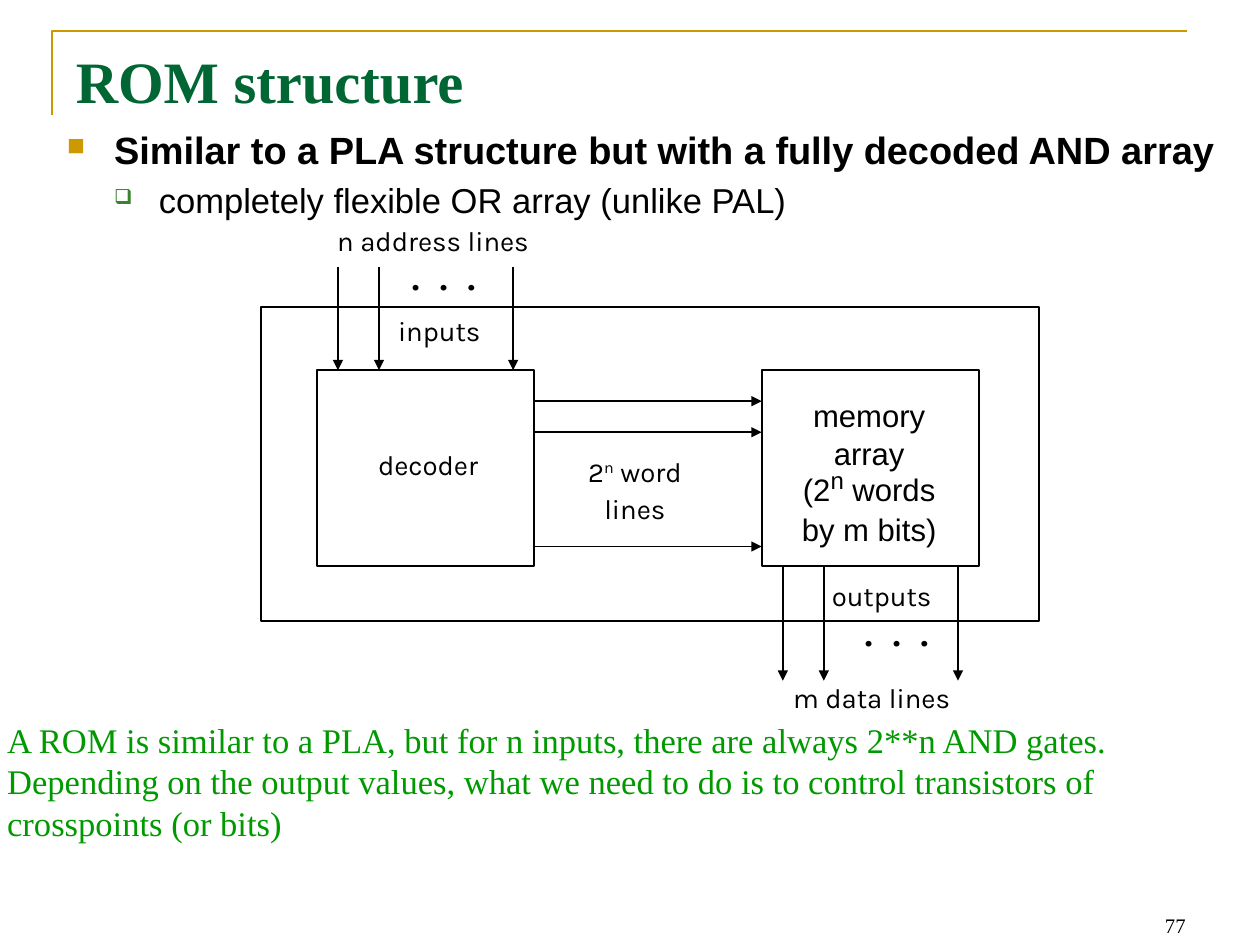
import dataclasses

import pptx
import pptx.dml.color
import pptx.enum.shapes
import pptx.enum.text
import pptx.oxml
import pptx.oxml.ns
import pptx.util
from pptx.util import Inches

ALIGN = pptx.enum.text.PP_ALIGN
ANCHOR = pptx.enum.text.MSO_ANCHOR


@dataclasses.dataclass(frozen=True)
class Theme:
    serif: str = "Times New Roman"
    sans: str = "Arial"
    label: str = "Karla"
    black: str = "000000"
    gold: str = "CC9900"
    title_green: str = "006633"
    bullet_green: str = "3B812F"
    note_green: str = "009900"
    title_size: int = 34
    point_size: int = 22
    body_size: int = 20
    superscript_size: int = 24
    memory_size: int = 18
    label_size: int = 16
    number_size: int = 12
    frame_width: float = 1.5
    line_width: float = 1


THEME = Theme()
BLOCK_TOP, BLOCK_WIDTH, BLOCK_HEIGHT = 2.98, 1.75, 1.58
BLOCK_BOTTOM = BLOCK_TOP + BLOCK_HEIGHT
DECODER_LEFT, MEMORY_LEFT = 2.55, 6.13
PORT_OFFSETS = (0.17, 0.5, 1.58)
WORD_LINES = (3.23, 3.48, 4.4)


def colour(value):
    return pptx.dml.color.RGBColor.from_string(value)


def xml_child(parent, tag, **attributes):
    child = pptx.oxml.parse_xml(f"<a:{tag} {pptx.oxml.ns.nsdecls('a')}/>")
    for name, value in attributes.items():
        child.set(name, str(value))
    parent.append(child)
    return child


def add_span(para, text, font, size, ink=THEME.black, bold=False):
    for index, piece in enumerate(text.split("\n")):
        if index:
            para.add_line_break()
        span = para.add_run()
        span.text = piece
        span.font.name = font
        span.font.size = pptx.util.Pt(size)
        span.font.bold = bold
        span.font.color.rgb = colour(ink)
    return span


def add_box(page, left, top, width, height, wrap=True, anchor=ANCHOR.TOP):
    box = page.shapes.add_textbox(*map(Inches, (left, top, width, height)))
    box.text_frame.word_wrap = wrap
    box.text_frame.vertical_anchor = anchor
    return box


def add_label_para(page, left, top, width, height, spacing=22):
    frame = add_box(page, left, top, width, height, wrap=False).text_frame
    frame.margin_left = frame.margin_right = Inches(0.02)
    frame.margin_top = frame.margin_bottom = Inches(0.03)
    para = frame.paragraphs[0]
    para.alignment = ALIGN.CENTER
    para.line_spacing = pptx.util.Pt(spacing)
    return para


def add_label(page, text, left, top, width, height):
    para = add_label_para(page, left, top, width, height)
    add_span(para, text, THEME.label, THEME.label_size)


def add_power_label(page, before, after, font, size, power_size, *place):
    para = add_label_para(page, *place)
    add_span(para, before, font, size)
    power = add_span(para, "n", font, power_size)
    power.font._element.set("baseline", "30000")
    add_span(para, after, font, size)


def add_dots(page, left, top, width, height):
    para = add_label_para(page, left, top, width, height, spacing=21)
    for text in "• • •":
        span = add_span(para, text, THEME.label, THEME.label_size)
        if text == " ":
            span.font._element.set("spc", "800")


def add_block(page, left, top, width, height):
    block = page.shapes.add_shape(
        pptx.enum.shapes.MSO_SHAPE.RECTANGLE, *map(Inches, (left, top, width, height)))
    block.shadow.inherit = False
    block.fill.background()
    block.line.color.rgb = colour(THEME.black)
    block.line.width = pptx.util.Pt(THEME.line_width)


def add_arrow(page, start_x, start_y, end_x, end_y):
    arrow = page.shapes.add_connector(
        pptx.enum.shapes.MSO_CONNECTOR.STRAIGHT,
        *map(Inches, (start_x, start_y, end_x, end_y)))
    arrow.line.color.rgb = colour(THEME.black)
    arrow.line.width = pptx.util.Pt(THEME.line_width)
    xml_child(arrow.line._get_or_add_ln(), "tailEnd", type="triangle")
    xml_child(arrow._element.spPr, "effectLst")


def add_corner_frame(page):
    builder = page.shapes.build_freeform(Inches(0.42), Inches(0.93))
    builder.add_line_segments(
        [(Inches(0.42), Inches(0.25)), (Inches(9.55), Inches(0.25))], close=False)
    corner = builder.convert_to_shape()
    corner.shadow.inherit = False
    corner.fill.background()
    corner.line.color.rgb = colour(THEME.gold)
    corner.line.width = pptx.util.Pt(THEME.frame_width)


def set_title(page, text):
    title = page.shapes.title
    title.left, title.top = Inches(0.51), Inches(0.31)
    title.width, title.height = Inches(9.12), Inches(1.26)
    frame = title.text_frame
    frame.auto_size = pptx.enum.text.MSO_AUTO_SIZE.NONE
    frame.vertical_anchor = ANCHOR.TOP
    para = frame.paragraphs[0]
    para.alignment = ALIGN.LEFT
    add_span(para, text, THEME.serif, THEME.title_size, THEME.title_green, True)


def set_bullet(para, mark, ink, percent, indent, hanging):
    properties = para._p.get_or_add_pPr()
    properties.set("marL", str(Inches(indent)))
    properties.set("indent", str(-Inches(hanging)))
    xml_child(xml_child(properties, "buClr"), "srgbClr", val=ink)
    xml_child(properties, "buSzPct", val=percent * 1000)
    xml_child(properties, "buChar", char=mark)


def add_points(page):
    frame = add_box(page, 0.44, 0.97, 9.6, 1).text_frame
    point = frame.paragraphs[0]
    set_bullet(point, "■", THEME.gold, 65, 0.38, 0.38)
    add_span(point, "Similar to a PLA structure but with a fully decoded AND array",
             THEME.sans, THEME.point_size, bold=True)
    detail = frame.add_paragraph()
    detail.level = 1
    detail.space_before = pptx.util.Pt(4)
    set_bullet(detail, "❑", THEME.bullet_green, 60, 0.74, 0.36)
    add_span(detail, "completely flexible OR array (unlike PAL)", THEME.sans, THEME.body_size)


def add_diagram(page):
    add_block(page, 2.1, 2.47, 6.26, 2.53)
    for left in (DECODER_LEFT, MEMORY_LEFT):
        add_block(page, left, BLOCK_TOP, BLOCK_WIDTH, BLOCK_HEIGHT)
    for offset in PORT_OFFSETS:
        address, data = DECODER_LEFT + offset, MEMORY_LEFT + offset
        add_arrow(page, address, 2.15, address, BLOCK_TOP)
        add_arrow(page, data, BLOCK_BOTTOM, data, 5.48)
    for height in WORD_LINES:
        add_arrow(page, DECODER_LEFT + BLOCK_WIDTH, height, MEMORY_LEFT, height)
    add_label(page, "n address lines", 2.38, 1.73, 2.21, 0.72)
    add_label(page, "inputs", 3.03, 2.46, 1.01, 0.72)
    add_label(page, "decoder", 2.85, 3.54, 1.19, 0.62)
    add_label(page, "outputs", 6.45, 4.59, 1.29, 0.72)
    add_label(page, "m data lines", 5.91, 5.41, 2.21, 0.72)
    add_dots(page, 3.09, 2.1, 0.96, 0.43)
    add_dots(page, 6.62, 4.97, 1.19, 0.43)
    add_power_label(page, "2", " word\nlines", THEME.label, THEME.label_size,
                    THEME.label_size, 4.31, 3.59, 1.6, 1.03)
    add_power_label(page, "memory\narray\n(2", " words\nby m bits)", THEME.sans,
                    THEME.memory_size, THEME.superscript_size, 5.98, 3.16, 2.03, 1.03)


def main():
    deck = pptx.Presentation()
    deck.slide_width, deck.slide_height = Inches(10.14), Inches(7.6)
    page = deck.slides.add_slide(deck.slide_layouts.get_by_name("Title Only"))
    add_corner_frame(page)
    set_title(page, "ROM structure")
    add_points(page)
    add_diagram(page)
    note = add_box(page, -0.04, 5.74, 10.14, 1.1).text_frame.paragraphs[0]
    add_span(note, "A ROM is similar to a PLA, but for n inputs, there are always 2**n AND gates. "
             "Depending on the output values, what we need to do is to control transistors of "
             "crosspoints (or bits)", THEME.serif, THEME.body_size, THEME.note_green)
    number = add_box(page, 7.27, 7.09, 2.37, 0.51, anchor=ANCHOR.BOTTOM).text_frame.paragraphs[0]
    number.alignment = ALIGN.RIGHT
    add_span(number, "77", THEME.serif, THEME.number_size)
    deck.save("out.pptx")


if __name__ == "__main__":
    main()
